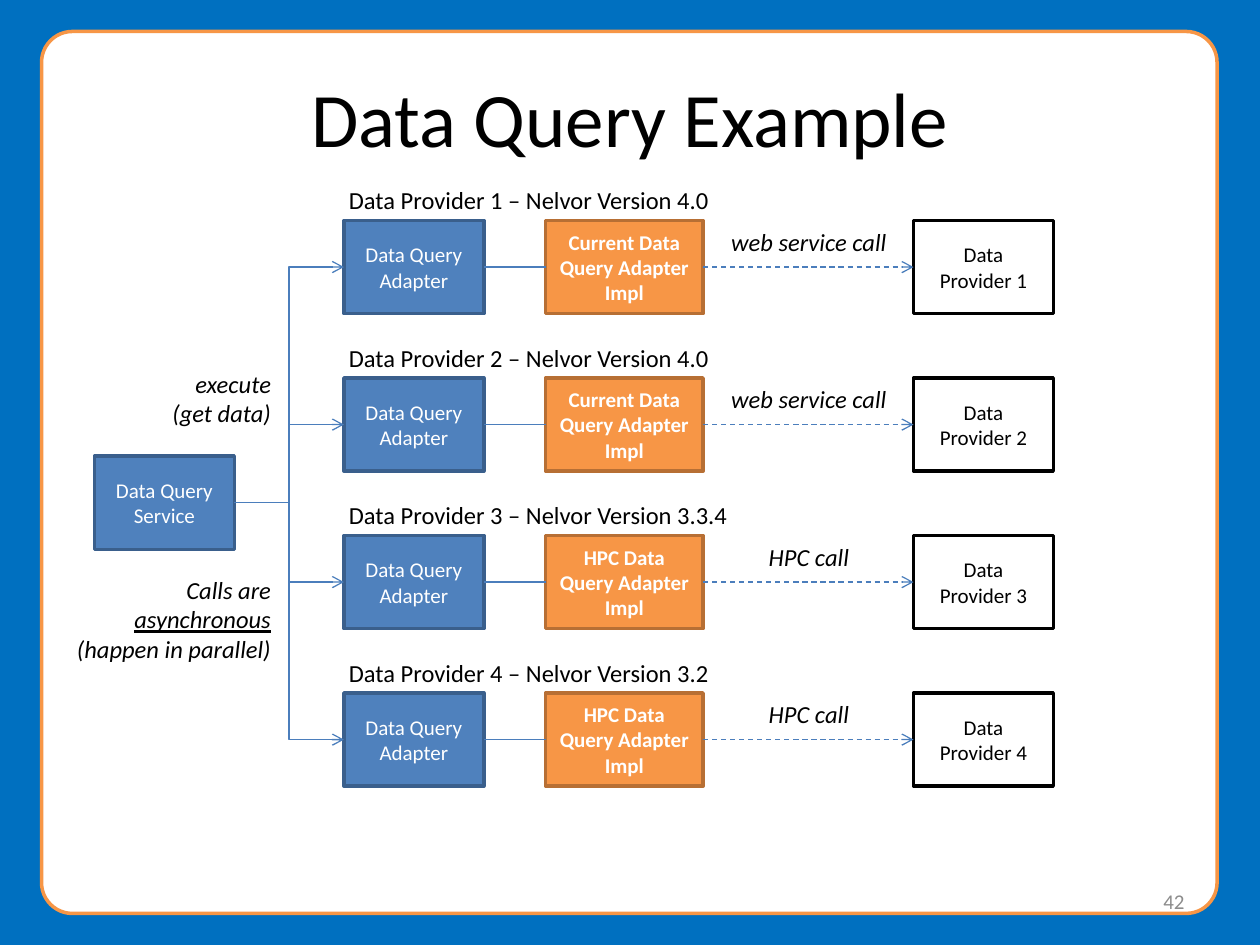
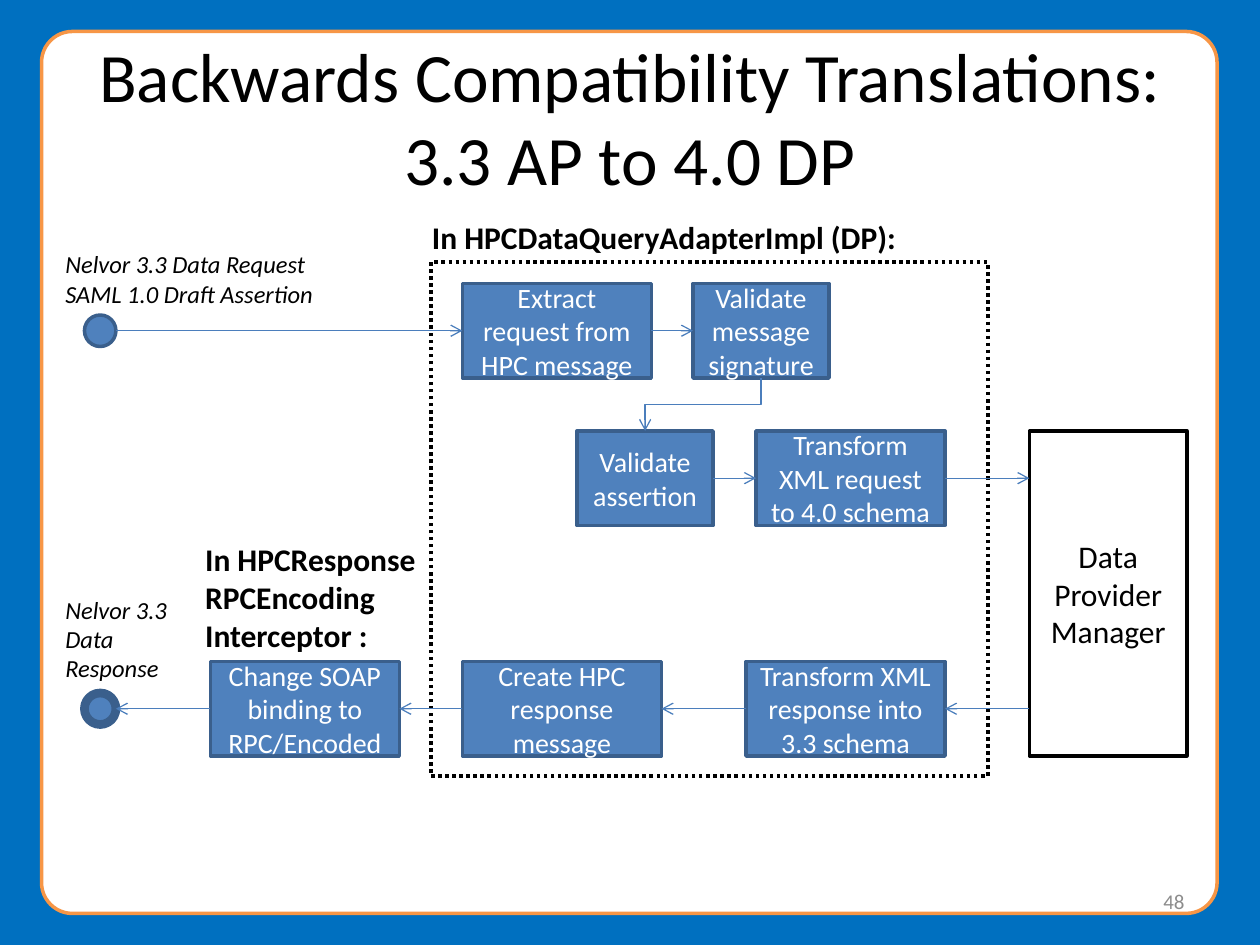
from lxml.etree import SubElement
from pptx import Presentation
from pptx.dml.color import RGBColor
from pptx.enum.dml import MSO_LINE
from pptx.enum.shapes import MSO_CONNECTOR as Connector, MSO_SHAPE as Shape
from pptx.enum.text import MSO_ANCHOR as Anchor, MSO_AUTO_SIZE as AutoSize, PP_ALIGN as Align
from pptx.oxml.ns import qn
from pptx.util import Inches, Pt

FONT = "Calibri"
BACKGROUND = RGBColor(0x00, 0x70, 0xC0)
BLACK = RGBColor(0x00, 0x00, 0x00)
WHITE = RGBColor(0xFF, 0xFF, 0xFF)
GREY = RGBColor(0x8C, 0x8C, 0x8C)
BLUE = RGBColor(0x4F, 0x81, 0xBD)
DARK_BLUE = RGBColor(0x3A, 0x5F, 0x8C)
LINK_BLUE = RGBColor(0x4B, 0x7E, 0xBC)
ORANGE = RGBColor(0xF7, 0x96, 0x46)
DARK_ORANGE = RGBColor(0xB7, 0x6F, 0x34)

# Fill, line and text colour of each kind of box
STEP = (BLUE, DARK_BLUE, WHITE)
IMPLEMENTATION = (ORANGE, DARK_ORANGE, WHITE)
PROVIDER = (WHITE, BLACK, BLACK)
DOTTED = (None, BLACK, BLACK)
FRAME = (WHITE, ORANGE, BLACK)

TOP, LEFT, BOTTOM, RIGHT = range(4)


class Deck:
    def __init__(self):
        self.presentation = Presentation()
        self.presentation.slide_width = Inches(10)
        self.presentation.slide_height = Inches(7.5)
        fill = self.presentation.slide_master.background.fill
        fill.solid()
        fill.fore_color.rgb = BACKGROUND
        self.layout = self.presentation.slide_layouts.get_by_name("Title Only")
        self.slide = None

    def add_slide(self, title, number, size=44):
        first = self.slide is None
        self.slide = self.presentation.slides.add_slide(self.layout)
        if first:
            self.add_frame_to_layout()
        placeholder = self.slide.shapes.title
        placeholder.left, placeholder.top = Inches(0.5), Inches(0.3)
        placeholder.width, placeholder.height = Inches(9), Inches(1.25)
        self.set_text(placeholder, title, size, BLACK, Align.CENTER)
        placeholder.text_frame.vertical_anchor = Anchor.MIDDLE
        page = self.text(7.17, 6.95, 2.33, 0.4, number, 12, Align.RIGHT, color=GREY)
        page.text_frame.vertical_anchor = Anchor.MIDDLE

    def add_frame_to_layout(self):
        """Draw the rounded panel and move it behind the layout's placeholders."""
        frame = self.box(0.33, 0.25, 9.33, 7, "", FRAME, shape=Shape.ROUNDED_RECTANGLE)
        frame.adjustments[0] = 0.035
        frame.element.nvSpPr.cNvPr.set("id", "20")
        self.layout.shapes.element.insert(2, frame.element)

    def set_text(self, shape, text, size, color, align, bold=False, italic=False):
        frame = shape.text_frame
        frame.word_wrap = True
        frame.auto_size = AutoSize.NONE
        frame.text = text
        for paragraph in frame.paragraphs:
            paragraph.alignment = align
            font = paragraph.font
            font.name, font.size = FONT, Pt(size)
            font.bold, font.italic = bold, italic
            font.color.rgb = color

    def text(self, left, top, width, height, text, size=14, align=Align.LEFT,
             color=BLACK, **emphasis):
        shape = self.slide.shapes.add_textbox(
            Inches(left), Inches(top), Inches(width), Inches(height))
        self.set_text(shape, text, size, color, align, **emphasis)
        return shape

    def box(self, left, top, width, height, text, colors=STEP, size=16,
            shape=Shape.RECTANGLE, line_width=2, bold=False):
        fill, line, text_color = colors
        box = self.slide.shapes.add_shape(
            shape, Inches(left), Inches(top), Inches(width), Inches(height))
        box.shadow.inherit = False
        if fill is None:
            box.fill.background()
        else:
            box.fill.solid()
            box.fill.fore_color.rgb = fill
        box.line.color.rgb = line
        box.line.width = Pt(line_width)
        if text:
            self.set_text(box, text, size, text_color, Align.CENTER, bold=bold)
        return box

    def connect(self, start, end, kind=Connector.STRAIGHT, arrow=True, dashed=False):
        """Link two ends, each a (shape, side) pair or an (x, y) point in inches."""
        connector = self.slide.shapes.add_connector(kind, 0, 0, 0, 0)
        if isinstance(start[0], (int, float)):
            connector.begin_x, connector.begin_y = map(Inches, start)
        else:
            connector.begin_connect(*start)
        if isinstance(end[0], (int, float)):
            connector.end_x, connector.end_y = map(Inches, end)
        else:
            connector.end_connect(*end)
        connector.line.color.rgb = LINK_BLUE
        connector.line.width = Pt(0.75)
        if dashed:
            connector.line.dash_style = MSO_LINE.DASH
        properties = connector.element.spPr
        if arrow:
            SubElement(properties.find(qn("a:ln")), qn("a:tailEnd"), type="arrow")
        SubElement(properties, qn("a:effectLst"))
        return connector

    def connect_down_left(self, upper, lower):
        """Elbow that leaves downwards: the preset runs sideways, so turn it 90°."""
        connector = self.connect((upper, BOTTOM), (lower, TOP), Connector.ELBOW)
        left, top = connector.left, connector.top
        width, height = connector.width, connector.height
        connector.left = left + (width - height) // 2
        connector.top = top + (height - width) // 2
        connector.width, connector.height = height, width
        transform = connector.element.spPr.find(qn("a:xfrm"))
        transform.attrib.pop("flipH", None)
        transform.set("rot", "5400000")


def build_data_query(deck):
    deck.add_slide("Data Query Example", "42")
    width, height = 1.11, 0.74
    service = deck.box(0.75, 3.62, width, height, "Data Query Service", size=12)
    current = ("Current Data Query Adapter\nImpl", "web service call")
    hpc = ("HPC Data Query Adapter Impl", "HPC call")
    rows = [("4.0", current), ("4.0", current), ("3.3.4", hpc), ("3.2", hpc)]
    for index, (version, (implementation_name, call)) in enumerate(rows):
        number = index + 1
        top = 1.75 + 1.25 * index
        deck.text(2.67, top - 0.33, 3.42, 0.34,
                  f"Data Provider {number} – Nelvor Version {version}")
        adapter = deck.box(2.73, top, width, height, "Data Query\nAdapter", size=12)
        implementation = deck.box(4.33, top, 1.25, height, implementation_name,
                                  IMPLEMENTATION, 12, bold=True)
        provider = deck.box(7.25, top, width, height, f"Data Provider {number}",
                            PROVIDER, 12)
        deck.connect((service, RIGHT), (adapter, LEFT), Connector.ELBOW)
        deck.connect((adapter, RIGHT), (implementation, LEFT), arrow=False)
        deck.connect((implementation, RIGHT), (provider, LEFT), dashed=True)
        deck.text(5.67, top, 1.5, 0.34, call, align=Align.CENTER, italic=True)

    note = deck.text(0.42, 2.88, 1.83, 2.46, "execute\n(get data)\nCalls are ",
                     align=Align.RIGHT, italic=True)
    calls = note.text_frame.paragraphs[2]
    calls.space_before = Pt(84)
    underlined = calls.add_run()
    underlined.text = "asynchronous"
    underlined.font.underline = True
    calls.add_run().text = " (happen in parallel)"


def build_translations(deck):
    deck.add_slide("Backwards Compatibility Translations:\v3.3 AP to 4.0 DP", "48", 39.6)
    adapter_scope = deck.box(3.42, 2.08, 4.42, 4.08, "", DOTTED)
    adapter_scope.line.dash_style = MSO_LINE.ROUND_DOT

    height = 0.75
    request_top, assertion_top, response_top = 2.25, 3.42, 5.25
    request_y, assertion_y, response_y = (
        top + height / 2 for top in (request_top, assertion_top, response_top))

    extract = deck.box(3.67, request_top, 1.5, height, "Extract request from HPC message")
    signature = deck.box(5.5, request_top, 1.08, height, "Validate message signature")
    assertion = deck.box(4.58, assertion_top, 1.08, height, "Validate assertion")
    to_request = deck.box(6, assertion_top, 1.5, height, "Transform XML request to 4.0 schema")
    to_response = deck.box(5.92, response_top, 1.58, height,
                           "Transform XML response into 3.3 schema")
    create = deck.box(3.67, response_top, 1.58, height, "Create HPC response message")
    encode = deck.box(1.67, response_top, 1.5, height, "Change SOAP binding to RPC/Encoded")
    deck.box(8.17, assertion_top, 1.25, 2.58, "Data Provider Manager", PROVIDER, 18)
    for center_y, line_width in ((request_y, 2), (response_y, 5)):
        deck.box(0.67, center_y - 0.125, 0.25, 0.25, "", line_width=line_width,
                 shape=Shape.FLOWCHART_CONNECTOR)

    deck.connect((0.92, request_y), (extract, LEFT))
    deck.connect((extract, RIGHT), (signature, LEFT))
    deck.connect_down_left(signature, assertion)
    deck.connect((assertion, RIGHT), (to_request, LEFT))
    deck.connect((to_request, RIGHT), (8.17, assertion_y))
    deck.connect((8.17, response_y), (to_response, RIGHT))
    deck.connect((to_response, LEFT), (create, RIGHT))
    deck.connect((create, LEFT), (encode, RIGHT))
    deck.connect((encode, LEFT), (0.92, response_y))

    deck.text(0.42, 1.93, 2.4, 0.57, "Nelvor 3.3 Data Request\nSAML 1.0 Draft Assertion",
              italic=True)
    deck.text(0.42, 4.67, 1.11, 0.81, "Nelvor 3.3 Data Response", italic=True)
    deck.text(3.33, 1.68, 4.08, 0.4, "In HPCDataQueryAdapterImpl (DP):", 18, bold=True)
    deck.text(1.53, 4.24, 2, 1.01, "In HPCResponse\nRPCEncoding\nInterceptor :", 18, bold=True)


def main():
    deck = Deck()
    build_data_query(deck)
    build_translations(deck)
    deck.presentation.save("out.pptx")


if __name__ == "__main__":
    main()
